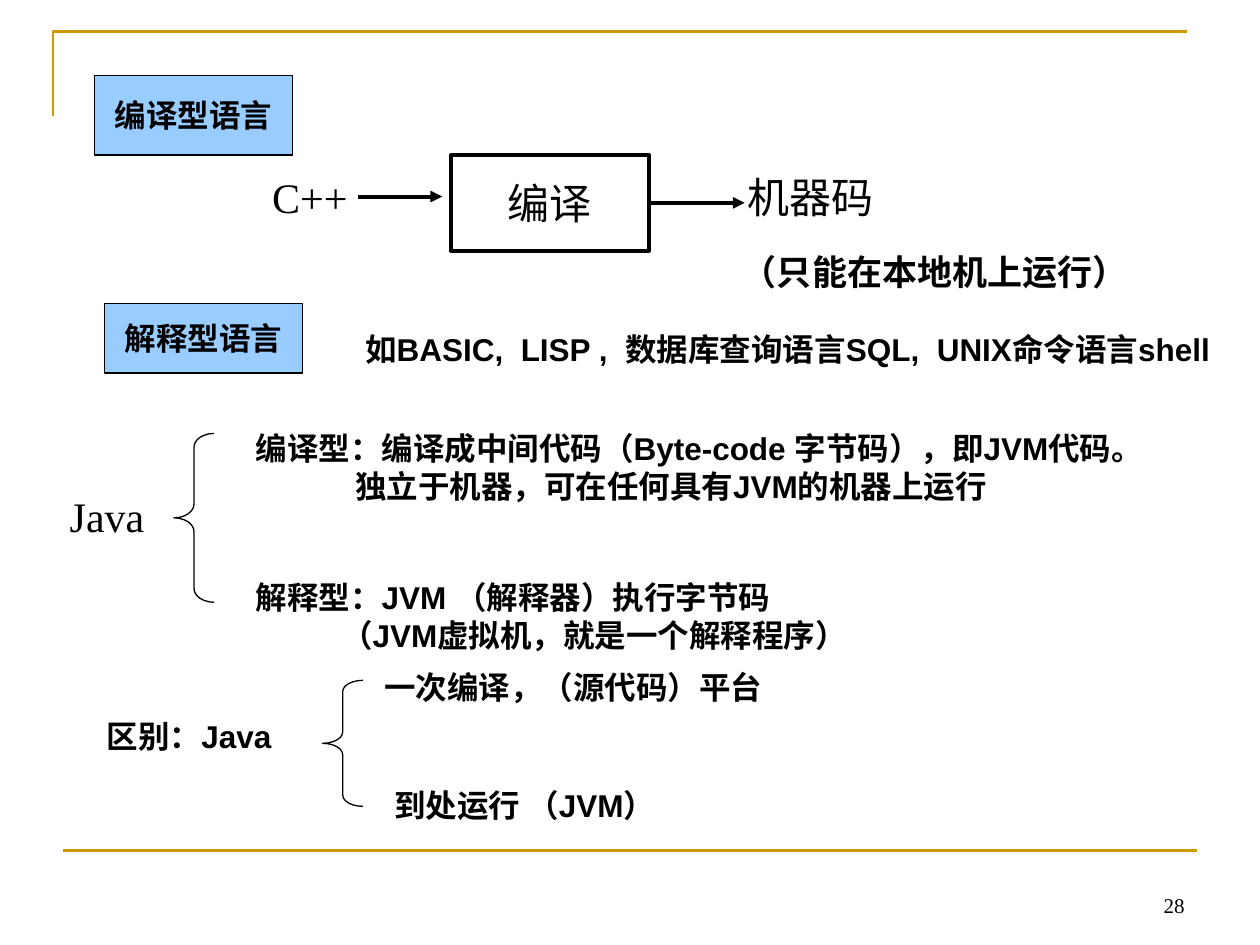
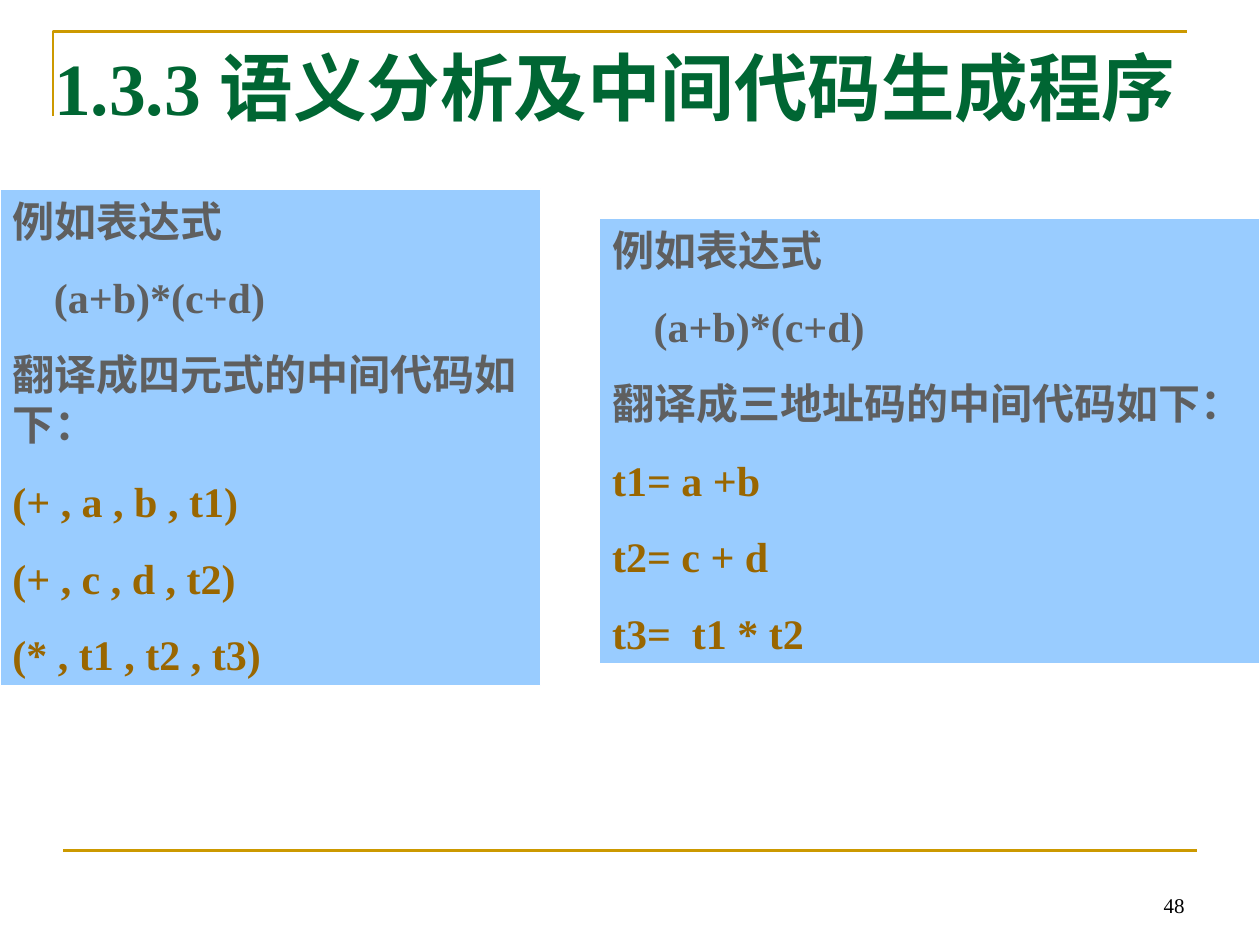
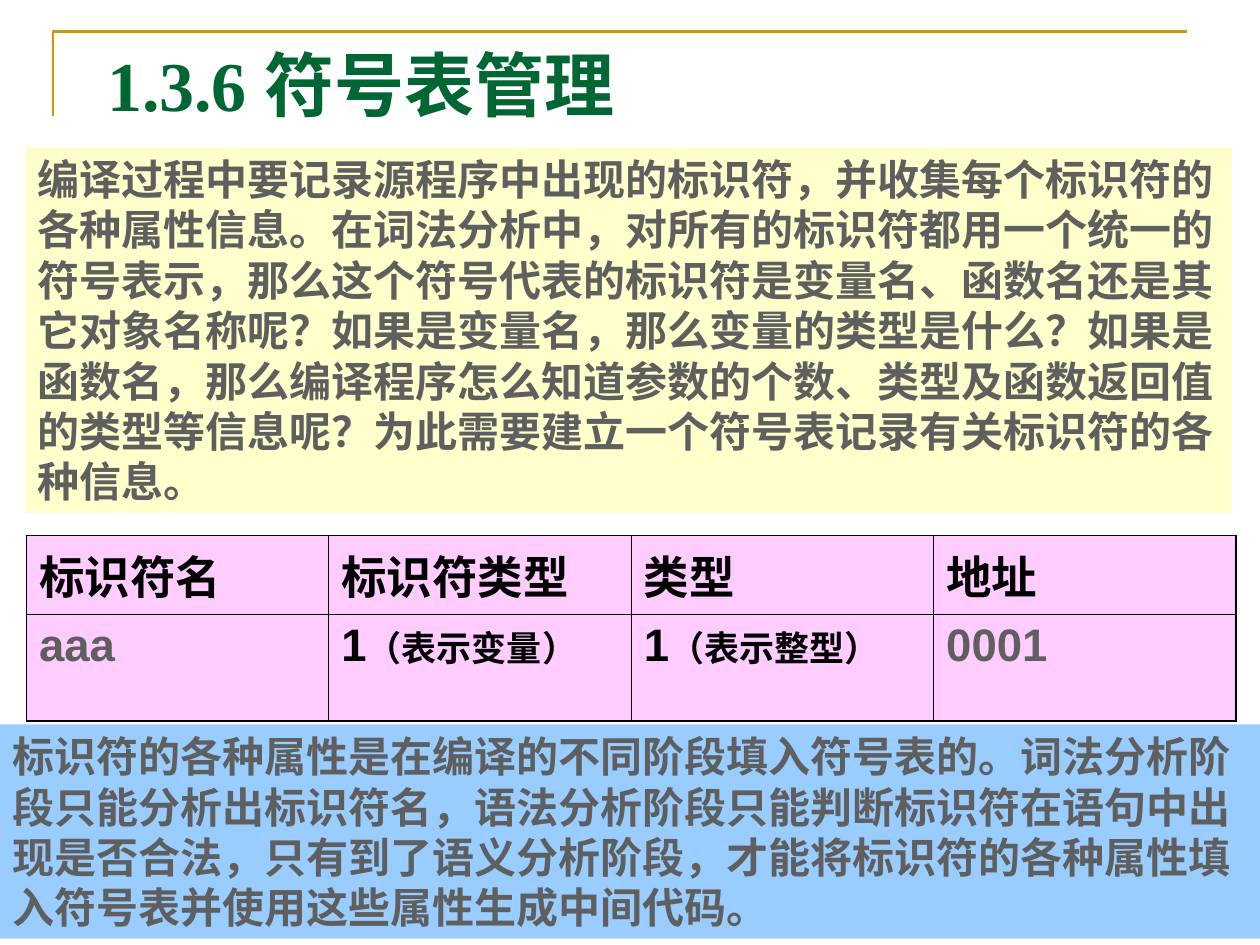
from lxml import etree
from pptx import Presentation
from pptx.dml.color import RGBColor
from pptx.enum.dml import MSO_LINE
from pptx.enum.shapes import MSO_CONNECTOR, MSO_SHAPE
from pptx.enum.text import MSO_ANCHOR, MSO_AUTO_SIZE, PP_ALIGN
from pptx.oxml.ns import qn
from pptx.util import Pt

PX = 9144  # 100 px to the inch
RECT, LEFT_BRACE = MSO_SHAPE.RECTANGLE, MSO_SHAPE.LEFT_BRACE
STRAIGHT, SOLID = MSO_CONNECTOR.STRAIGHT, MSO_LINE.SOLID
TOP, MIDDLE, BOTTOM = MSO_ANCHOR.TOP, MSO_ANCHOR.MIDDLE, MSO_ANCHOR.BOTTOM
LEFT, CENTER, RIGHT, JUSTIFY = (
    PP_ALIGN.LEFT, PP_ALIGN.CENTER, PP_ALIGN.RIGHT, PP_ALIGN.JUSTIFY)
RIGHT_SIDE = 3

COLORS = {
    "gold": "CC9900", "green": "006633", "black": "000000", "white": "FFFFFF",
    "gray": "5F5F5F", "brown": "996600", "blue": "99CCFF", "cream": "FFFFCC",
    "pink": "FFCCFF",
}
SERIF, SANS = "Times New Roman", "Arial"
STYLES = {
    "title": {"name": SERIF, "size": 42, "bold": True, "color": "green"},
    "small title": {"name": SERIF, "size": 40, "bold": True, "color": "green"},
    "number": {"name": SERIF, "size": 12, "bold": False, "color": "black"},
    "node": {"name": SERIF, "size": 24, "bold": False, "color": "black"},
    "note": {"name": SANS, "size": 18, "bold": True, "color": "black"},
    "remark": {"name": SANS, "size": 20, "bold": True, "color": "black"},
    "prose": {"name": SERIF, "size": 24, "bold": True, "color": "gray"},
    "code": {"name": SERIF, "size": 24, "bold": True, "color": "brown"},
    "cell": {"name": SANS, "size": 26, "bold": True, "color": "black"},
    "value": {"name": SANS, "size": 26, "bold": True, "color": "gray"},
}


def rgb(color):
    return RGBColor.from_string(COLORS[color])


def emu(*lengths):
    return [round(length * PX) for length in lengths]


def set_font(font, style):
    for key, value in STYLES[style].items():
        if key == "color":
            font.color.rgb = rgb(value)
        else:
            setattr(font, key, Pt(value) if key == "size" else value)


def write(frame, lines, align=LEFT, anchor=TOP, wrap=True, gap=0):
    """Each line is (spans, indent in px); each span is (text, style)."""
    settings = {"word_wrap": wrap, "auto_size": MSO_AUTO_SIZE.NONE,
                "vertical_anchor": anchor}
    for key, value in settings.items():
        setattr(frame, key, value)
    for index, (spans, indent) in enumerate(lines):
        para = frame.add_paragraph() if index else frame.paragraphs[0]
        para.alignment = align
        if index and gap:
            para.space_before = Pt(gap)
        if indent:
            para._p.get_or_add_pPr().set("marL", str(indent * PX))
        for text, style in spans:
            span = para.add_run()
            span.text = text
            set_font(span.font, style)


def line_of(text, style, indent=0):
    return [(text, style)], indent


def add_text(page, box, lines, **layout):
    write(page.shapes.add_textbox(*emu(*box)).text_frame, lines, **layout)


def add_box(page, box, lines, fill, outline=None, weight=0.75, **layout):
    shape = page.shapes.add_shape(RECT, *emu(*box))
    shape.shadow.inherit = False
    shape.fill.solid()
    shape.fill.fore_color.rgb = rgb(fill)
    if outline:
        shape.line.color.rgb = rgb(outline)
        shape.line.width = Pt(weight)
    else:
        shape.line.fill.background()
    write(shape.text_frame, lines, **layout)
    return shape


def add_label(page, box, text, style, fill="white", outline="white", weight=2.25):
    return add_box(page, box, [line_of(text, style)], fill, outline, weight,
                   align=CENTER, anchor=MIDDLE, wrap=False)


def add_line(page, start, end, color, weight, arrow=False):
    line = page.shapes.add_connector(STRAIGHT, *emu(*start, *end))
    line.line.color.rgb = rgb(color)
    line.line.width = Pt(weight)
    if arrow:
        etree.SubElement(line.line._get_or_add_ln(), qn("a:tailEnd"), type="triangle")
    etree.SubElement(line._element.spPr, qn("a:effectLst"))
    return line


def add_brace(page, box, curl):
    brace = page.shapes.add_shape(LEFT_BRACE, *emu(*box))
    brace.shadow.inherit = False
    brace.fill.background()
    brace.line.color.rgb = rgb("black")
    brace.line.width = Pt(0.75)
    brace.adjustments[0] = curl


def add_corner(page):
    builder = page.shapes.build_freeform(42, 92, scale=PX)
    builder.add_line_segments([(42, 25), (942, 25)], close=False)
    corner = builder.convert_to_shape()
    corner.shadow.inherit = False
    corner.fill.background()
    corner.line.color.rgb = rgb("gold")
    corner.line.width = Pt(1.5)


def add_footer(page, number):
    add_line(page, (50, 675), (950, 675), "gold", 1.5)
    add_text(page, (717, 683, 233, 50), [line_of(number, "number")],
             align=RIGHT, anchor=BOTTOM)


def new_page(deck, number=None, title=None, box=None, style="title"):
    layout = deck.slide_layouts.get_by_name("Title Only" if title else "Blank")
    page = deck.slides.add_slide(layout)
    add_corner(page)
    if title:
        heading = page.shapes.title
        heading.left, heading.top, heading.width, heading.height = emu(*box)
        write(heading.text_frame, [line_of(title, style)])
    if number:
        add_footer(page, number)
    return page


def draw_compiling(page, left, top):
    """C++ through the compiler to machine code."""
    compiler = add_label(page, (left + 141, top, 157, 76), "编译", "node", outline="black")
    add_label(page, (left, top + 17, 58, 33), "C++", "node")
    add_label(page, (left + 393, top + 8, 67, 50), "机器码", "node")
    add_line(page, (left + 67, top + 33), (left + 134, top + 33), "black", 2.25, True)
    middle = top + 38
    output = add_line(page, (left + 298, middle), (left + 374, middle),
                      "black", 2.25, True)
    output.begin_connect(compiler, RIGHT_SIDE)
    add_text(page, (left + 362, top + 71, 339, 44),
             [line_of("（只能在本地机上运行）", "remark")])


def draw_java(page, left, top):
    """Java as a compiled and as an interpreted language."""
    add_label(page, (left, top + 47, 100, 53), "Java", "node")
    add_brace(page, (left + 103, top + 8, 32, 134), 0.34)
    add_text(page, (left + 158, top, 732, 70), [
        line_of("编译型：编译成中间代码（Byte-code 字节码），即JVM代码。", "note"),
        line_of("独立于机器，可在任何具有JVM的机器上运行", "note", 79)])
    add_text(page, (left + 158, top + 118, 614, 70), [
        line_of("解释型：JVM （解释器）执行字节码", "note"),
        line_of("（JVM虚拟机，就是一个解释程序）", "note", 68)])


def draw_difference(page, left, top):
    add_brace(page, (left + 181, top + 15, 32, 100), 0.28)
    for x, y, width, text in [
            (0, 39, 173, "区别：Java"),
            (220, 0, 465, "一次编译，（源代码）平台"),
            (228, 94, 284, "到处运行 （JVM）")]:
        add_text(page, (left + x, top + y, width, 40), [line_of(text, "note")])


def language_page(deck):
    page = new_page(deck, "28")
    draw_compiling(page, 217, 123)
    draw_java(page, 35, 336)
    draw_difference(page, 75, 525)
    for box, text in [((75, 60, 157, 63), "编译型语言"),
                      ((83, 241, 157, 55), "解释型语言")]:
        add_label(page, box, text, "note", "blue", "black", 0.75)
    add_text(page, (280, 257, 693, 70), [line_of(
        "如BASIC,  LISP ,  数据库查询语言SQL,  UNIX命令语言shell", "note")])


def draw_translation(page, box, form, codes):
    lines = [line_of("例如表达式", "prose"),
             line_of("(a+b)*(c+d)", "prose", 33),
             line_of(f"翻译成{form}的中间代码如下：", "prose")]
    lines += [line_of(code, "code") for code in codes]
    add_box(page, box, lines, "blue", "white", gap=15)


def intermediate_code_page(deck):
    page = new_page(deck, "48", "1.3.3 语义分析及中间代码生成程序", (33, 28, 967, 83))
    draw_translation(page, (0, 150, 429, 394), "四元式",
                     ["(+ , a , b , t1)", "(+ , c , d , t2)", "(* , t1 , t2 , t3)"])
    draw_translation(page, (476, 173, 524, 354), "三地址码",
                     ["t1= a +b", "t2= c + d", "t3=  t1 * t2"])


def set_borders(cell, weights):
    """Weights run left, right, top, bottom, in points."""
    props = cell._tc.get_or_add_tcPr()
    for index, (side, weight) in enumerate(zip("LRTB", weights)):
        border = etree.Element(qn(f"a:ln{side}"), w=str(Pt(weight)))
        fill = etree.SubElement(border, qn("a:solidFill"))
        etree.SubElement(fill, qn("a:srgbClr"), val=COLORS["black"])
        etree.SubElement(border, qn("a:prstDash"), val="solid")
        props.insert(index, border)


def draw_symbol_table(page, left, top):
    rows = [
        [[(name, "cell")] for name in ("标识符名", "标识符类型", "类型", "地址")],
        [[("aaa", "value")],
         [("1", "cell"), ("（表示变量）", "remark")],
         [("1", "cell"), ("（表示整型）", "remark")],
         [("0001", "value")]],
    ]
    heights, width = (56, 85), 240
    columns = len(rows[0])
    table = page.shapes.add_table(
        len(rows), columns, *emu(left, top, width * columns, sum(heights))).table
    for row, height in zip(table.rows, heights):
        row.height = height * PX
    for r, row in enumerate(rows):
        for c, spans in enumerate(row):
            cell = table.cell(r, c)
            cell.fill.solid()
            cell.fill.fore_color.rgb = rgb("pink")
            edges = (c == 0, c == columns - 1, r == 0, r == len(rows) - 1)
            set_borders(cell, [1.08 if outer else 0.45 for outer in edges])
            para = cell.text_frame.paragraphs[0]
            para.alignment = JUSTIFY
            for text, style in spans:
                span = para.add_run()
                span.text = text
                set_font(span.font, style)


def symbol_table_page(deck):
    page = new_page(deck, title="1.3.6 符号表管理", box=(75, 28, 850, 67),
                    style="small title")
    add_box(page, (20, 117, 958, 290), [line_of(
        "编译过程中要记录源程序中出现的标识符，并收集每个标识符的各种属性信息。"
        "在词法分析中，对所有的标识符都用一个统一的符号表示，"
        "那么这个符号代表的标识符是变量名、函数名还是其它对象名称呢？"
        "如果是变量名，那么变量的类型是什么？"
        "如果是函数名，那么编译程序怎么知道参数的个数、类型及函数返回值的类型等信息呢？"
        "为此需要建立一个符号表记录有关标识符的各种信息。", "prose")], "cream")
    add_box(page, (0, 575, 1000, 170), [line_of(
        "标识符的各种属性是在编译的不同阶段填入符号表的。"
        "词法分析阶段只能分析出标识符名，语法分析阶段只能判断标识符在语句中出现是否合法，"
        "只有到了语义分析阶段，才能将标识符的各种属性填入符号表并使用这些属性生成中间代码。",
        "prose")], "blue")
    draw_symbol_table(page, 21, 425)


def main():
    deck = Presentation()
    deck.slide_width, deck.slide_height = emu(1000, 750)
    language_page(deck)
    intermediate_code_page(deck)
    symbol_table_page(deck)
    deck.save("out.pptx")


if __name__ == "__main__":
    main()
